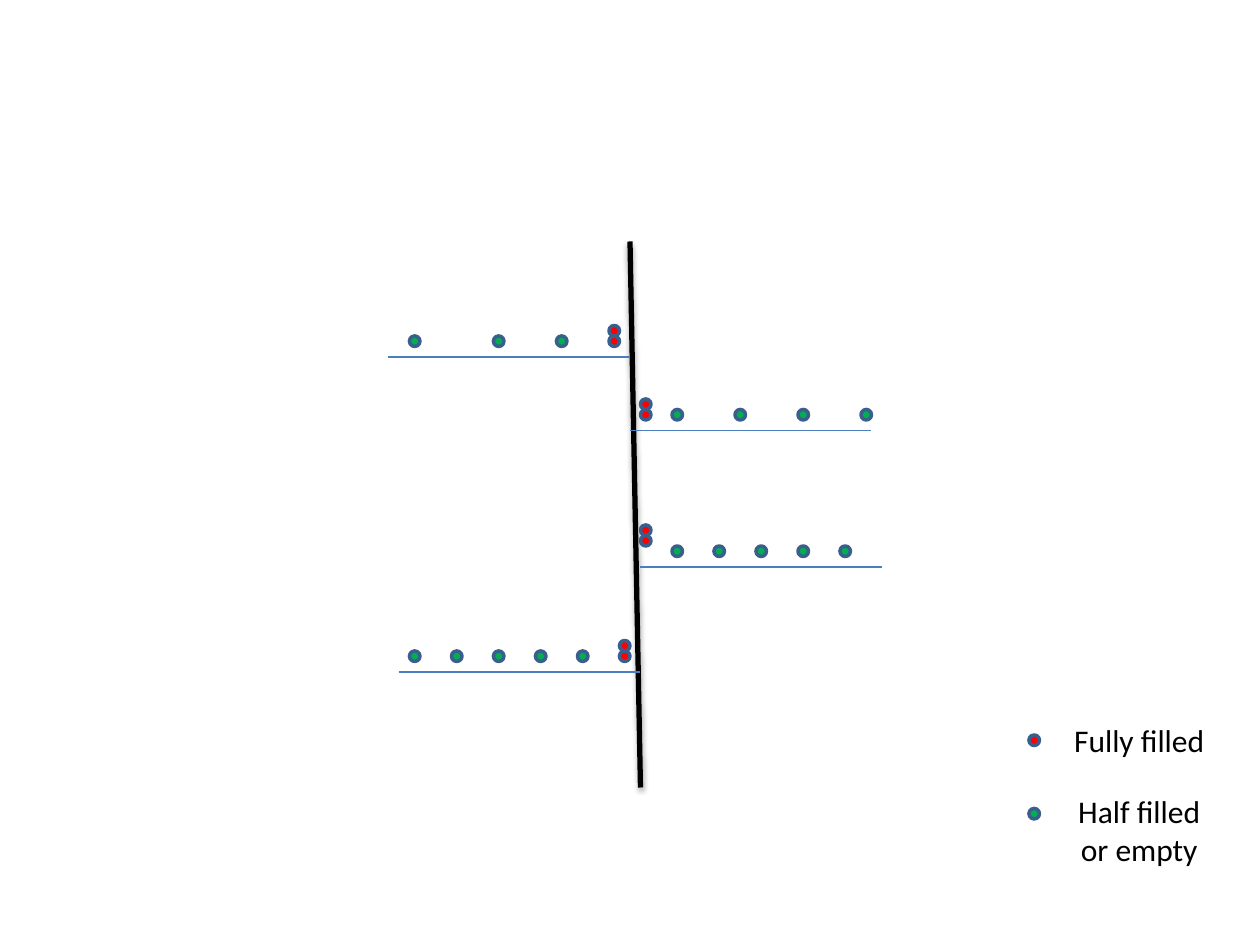
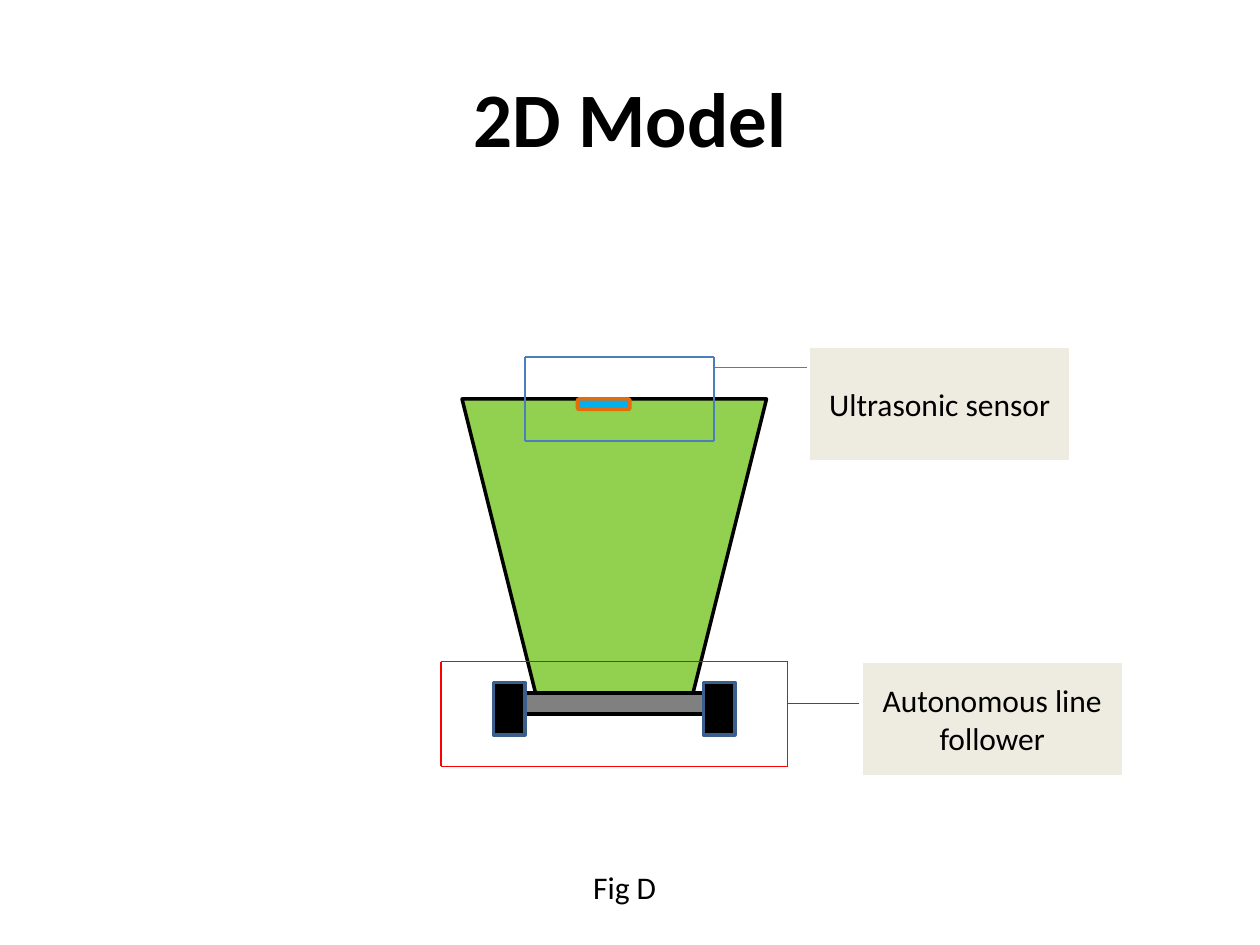
from lxml.etree import SubElement
from pptx import Presentation
from pptx.dml.color import RGBColor
from pptx.enum.shapes import MSO_CONNECTOR, MSO_SHAPE
from pptx.enum.text import MSO_ANCHOR, PP_ALIGN
from pptx.oxml.ns import qn
from pptx.util import Cm, Pt

FONT = "Calibri"
BLACK = "000000"
WHITE = "FFFFFF"
RED = "FF0000"
GREEN = "00B050"
NAVY = "3A5F8C"
BLUE = "4B7EBC"
BEIGE = "EEECE1"


def color(value):
    """Turn a hex string into a colour."""
    return RGBColor.from_string(value)


def grid(*steps):
    """Turn grid steps of a twelfth of an inch into lengths."""
    return [Cm(step * 2.54 / 12) for step in steps]


def add_line(page, start, end, line_color, width=0.75):
    """Draw a straight line and return its empty effect list."""
    line = page.shapes.add_connector(MSO_CONNECTOR.STRAIGHT, *grid(*start, *end))
    line.line.color.rgb = color(line_color)
    line.line.width = Pt(width)
    return SubElement(line._element.spPr, qn("a:effectLst"))


def add_soft_shadow(effects):
    """Put a soft downward shadow into an effect list."""
    shadow = SubElement(effects, qn("a:outerShdw"), blurRad=str(Pt(3.1)),
                        dist=str(Pt(1.8)), dir="5400000", rotWithShape="0")
    tint = SubElement(shadow, qn("a:srgbClr"), val=BLACK)
    SubElement(tint, qn("a:alpha"), val="35000")


def add_shape(page, kind, place, fill, outline):
    """Draw a filled preset shape with a 2 pt outline."""
    shape = page.shapes.add_shape(kind, *grid(*place))
    shape.shadow.inherit = False
    shape.fill.solid()
    shape.fill.fore_color.rgb = color(fill)
    shape.line.color.rgb = color(outline)
    shape.line.width = Pt(2)
    return shape


def write(shape, text, size, bold=False):
    """Write centred black text into a shape."""
    frame = shape.text_frame
    frame.word_wrap = True
    frame.vertical_anchor = MSO_ANCHOR.MIDDLE
    paragraph = frame.paragraphs[0]
    paragraph.text = text
    paragraph.alignment = PP_ALIGN.CENTER
    paragraph.font.name = FONT
    paragraph.font.size = Pt(size)
    paragraph.font.bold = bold
    paragraph.font.color.rgb = color(BLACK)


def add_label(page, place, text, fill=WHITE):
    """Add a rectangular label with a white outline."""
    write(add_shape(page, MSO_SHAPE.RECTANGLE, place, fill, WHITE), text, 18)


def add_title(page, text):
    """Add the slide title."""
    write(page.shapes.add_textbox(*grid(6, 3.6, 108, 15)), text, 44, bold=True)


def add_dot(page, left, top, fill):
    """Add a small outlined dot."""
    add_shape(page, MSO_SHAPE.OVAL, (left, top, 1, 1), fill, NAVY)


def add_frame(page, left, top, right, bottom, line_color):
    """Draw a see-through frame from four lines."""
    corners = [(left, top), (right, top), (right, bottom), (left, bottom)]
    for start, end in zip(corners, corners[1:] + corners[:1]):
        add_line(page, start, end, line_color)


def add_callout(page, frame, pointer_top, place, text, line_color):
    """Frame a part and tie it to a label on its right."""
    add_frame(page, *frame, line_color)
    add_line(page, (place[0], pointer_top), (frame[2], pointer_top), line_color)
    add_label(page, place, text, BEIGE)


def build_branches(page):
    """Build the stem with its four dotted branches and the legend."""
    add_soft_shadow(add_line(page, (60, 23), (61, 75), BLACK, 3))
    branches = [
        (37, 60, 32, (39, 47, 53), 58, 32),
        (60, 83, 39, range(64, 83, 6), 61, 39),
        (61, 84, 52, range(64, 81, 4), 61, 51),
        (38, 61, 62, range(39, 56, 4), 59, 62),
    ]
    for start, end, top, half_filled, filled, filled_top in branches:
        add_line(page, (start, top + 2), (end, top + 2), BLUE)
        for left in half_filled:
            add_dot(page, left, top, GREEN)
        for stacked in (filled_top, filled_top - 1):
            add_dot(page, filled, stacked, RED)
    legend = [
        (70, RED, (101, 68, 15, 5), "Fully filled"),
        (77, GREEN, (101, 75, 15, 8), "Half filled or empty"),
    ]
    for top, fill, place, text in legend:
        add_dot(page, 98, top, fill)
        add_label(page, place, text)


def build_model(page):
    """Build the labelled model of the vehicle."""
    add_title(page, "2D Model")
    body = add_shape(page, MSO_SHAPE.TRAPEZOID, (44, 38, 29, 28), "92D050", BLACK)
    body.rotation = 180
    add_shape(page, MSO_SHAPE.RECTANGLE, (50, 66, 17, 2), "808080", BLACK)
    for left in (47, 67):
        add_shape(page, MSO_SHAPE.RECTANGLE, (left, 65, 3, 5), BLACK, NAVY)
    add_shape(page, MSO_SHAPE.ROUNDED_RECTANGLE, (55, 38, 5, 1), "00B0F0", "E46C0A")
    add_callout(page, (42, 63, 75, 73), 67, (82, 63, 25, 11),
                "Autonomous line follower", RED)
    add_callout(page, (50, 34, 68, 42), 35, (77, 33, 25, 11),
                "Ultrasonic sensor", BLUE)
    add_label(page, (50, 82, 19, 5), "Fig D")


def main():
    """Build and save the deck."""
    deck = Presentation()
    deck.slide_width, deck.slide_height = Cm(25.4), Cm(19.05)
    for build in (build_branches, build_model):
        build(deck.slides.add_slide(deck.slide_layouts[6]))
    deck.save("out.pptx")


main()
